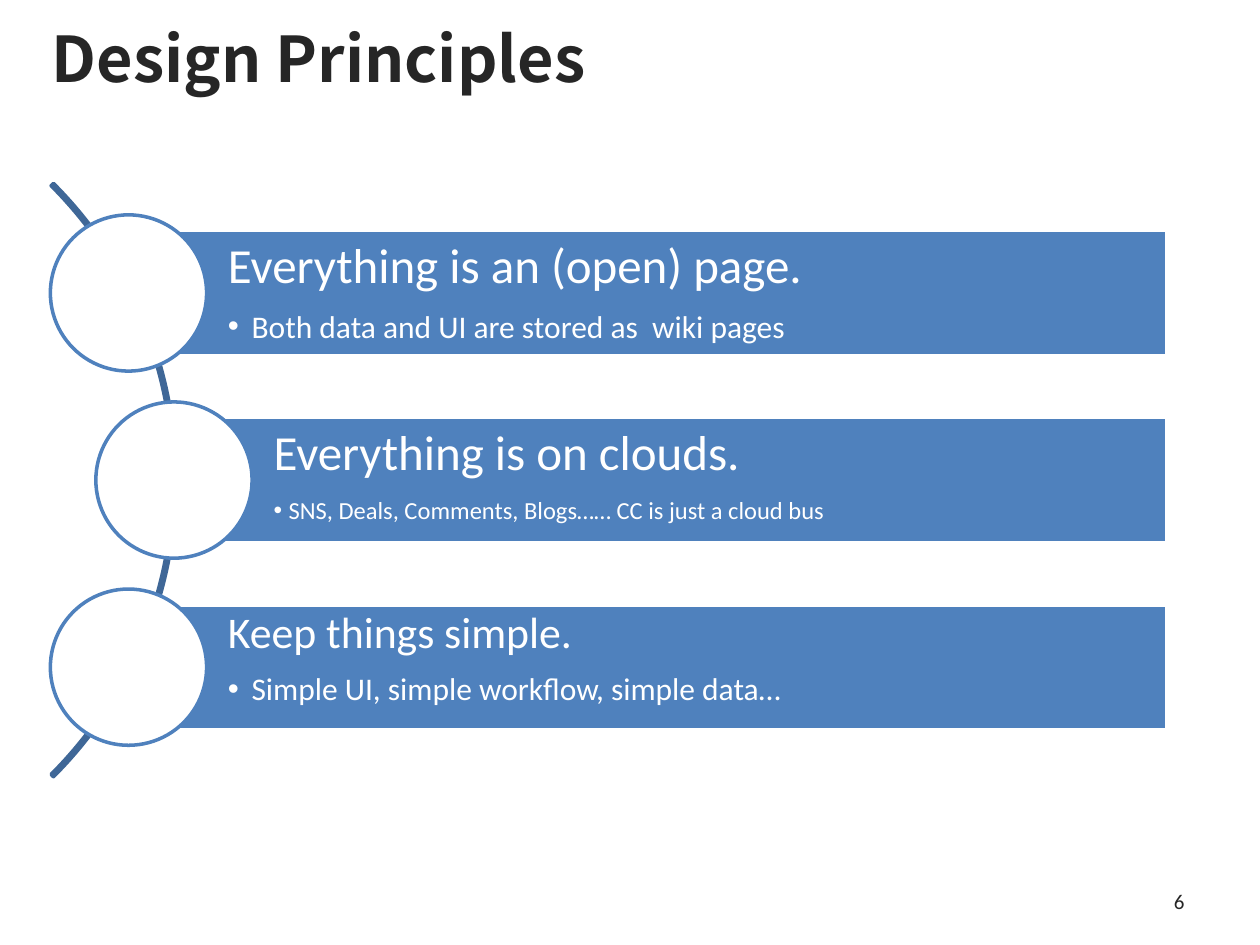
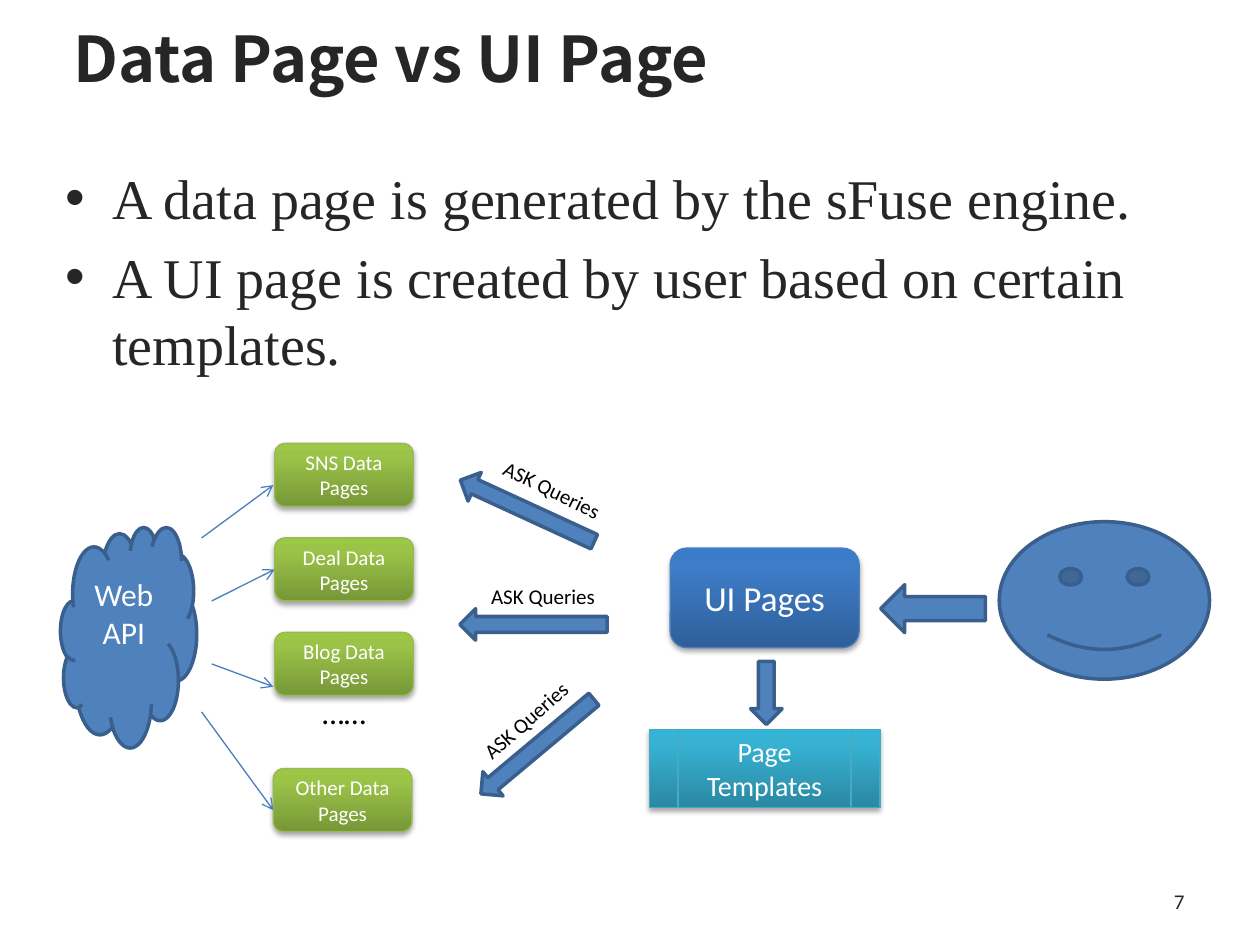
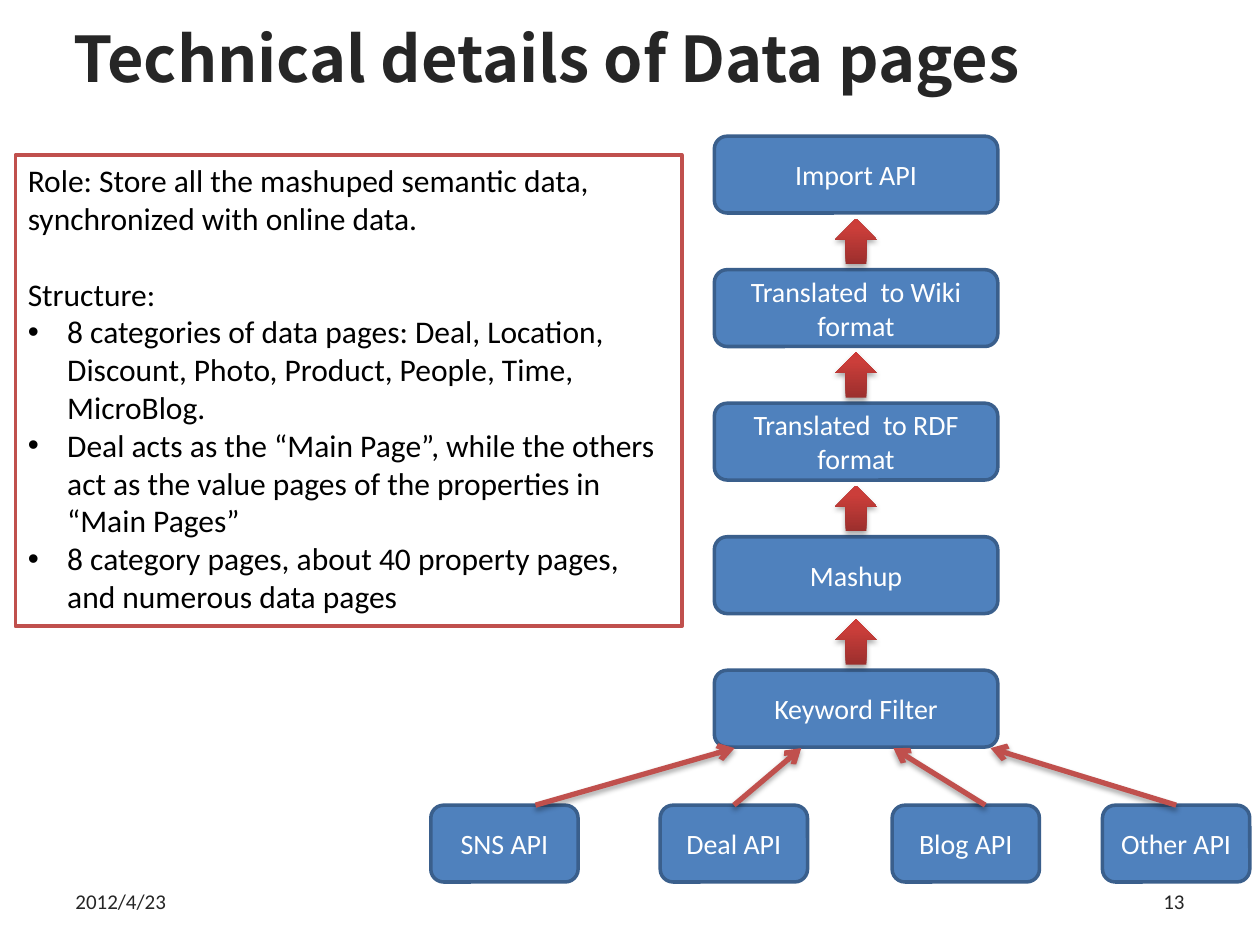
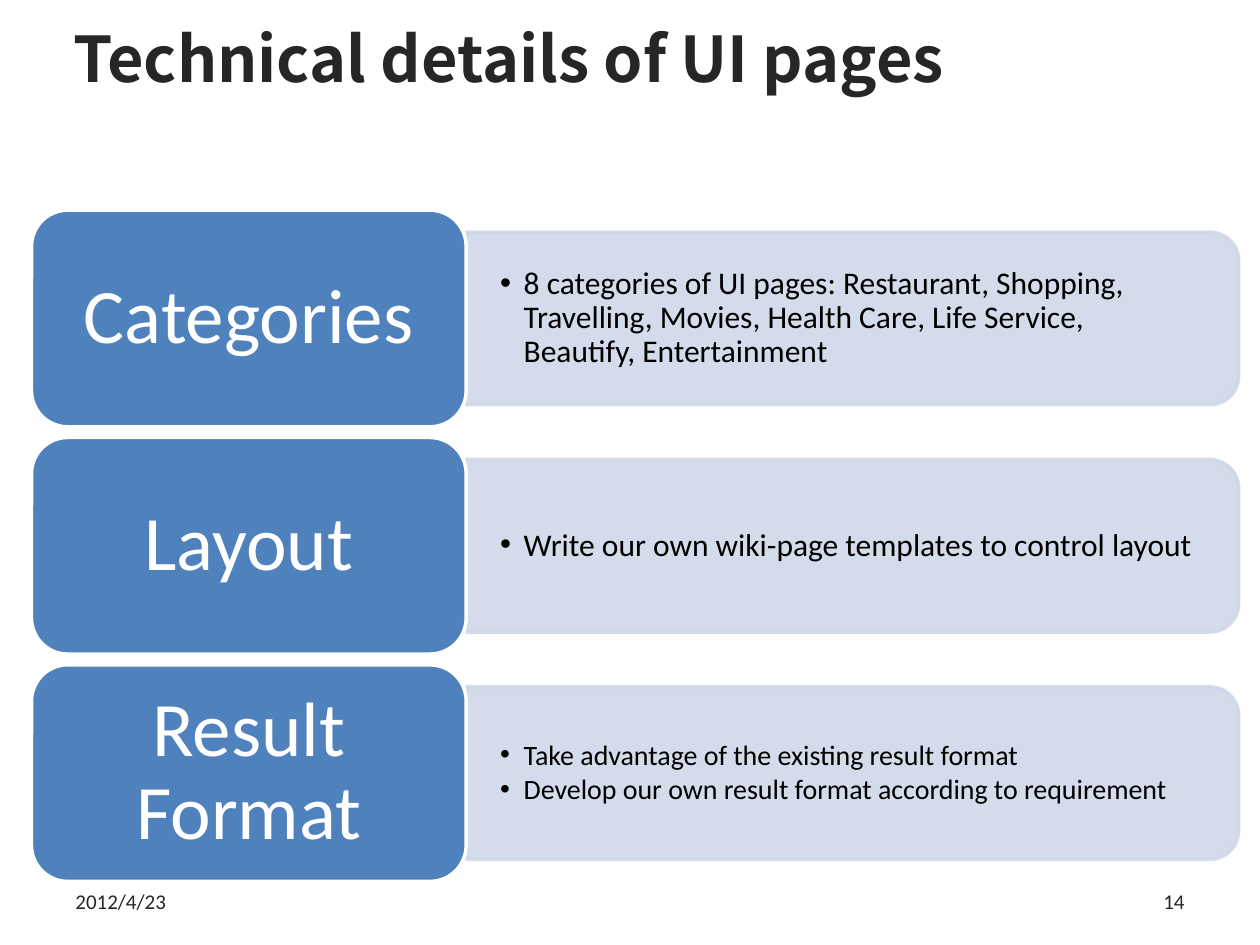
"""Build four slides on the design and the technical details of wiki data pages and UI pages."""
from copy import deepcopy
from dataclasses import dataclass
from typing import NamedTuple, Optional

from lxml import etree
from pptx import Presentation
from pptx import util as u
from pptx.dml.color import RGBColor
from pptx.enum import shapes, text
from pptx.oxml.ns import qn

Kind = shapes.MSO_SHAPE
Align = text.PP_ALIGN
Anchor = text.MSO_ANCHOR
Ramp = tuple[tuple[float, str], ...]


def ramp(dark: str, middle: str, light: str) -> Ramp:
    """Return the stops of a fill that darkens towards the bottom."""
    return ((0, dark), (0.8, middle), (1, light))


@dataclass(frozen=True)
class Theme:
    """Colours, fonts and type sizes shared by all pages."""
    ink: str = "262626"
    black: str = "000000"
    white: str = "FFFFFF"
    blue: str = "4F81BD"
    navy: str = "3A5F8C"
    arc: str = "3F6797"
    thin_blue: str = "4B7EBC"
    red: str = "C0504D"
    pale: str = "D0D8E8"
    green_ramp: Ramp = ramp("779737", "9BC348", "9DC746")
    blue_ramp: Ramp = ramp("2F5F99", "3D7CC7", "3A7CCB")
    teal_ramp: Ramp = ramp("2A88A2", "37B1D2", "34B4D6")
    red_ramp: Ramp = ramp("9C2F2D", "CB3E3A", "CE3B37")
    body_font: str = "Calibri"
    title_font: str = "Noto Sans CJK SC"
    serif_font: str = "Times New Roman"
    title: float = 36
    statement: float = 32
    banner: float = 28
    compact_banner: float = 25
    label: float = 44
    large: float = 20
    body: float = 18
    medium: float = 16
    small: float = 14
    tiny: float = 12


THEME = Theme()


class Frame(NamedTuple):
    """Place and size in points."""
    left: float
    top: float
    width: float
    height: float

    def lengths(self) -> list[u.Length]:
        """Return the four values as lengths."""
        return [u.Pt(value) for value in self]


@dataclass(frozen=True)
class Look:
    """Fill, outline and effects of a shape."""
    fill: str | Ramp | None = None
    line: Optional[str] = None
    weight: float = 2
    shadow: bool = False
    opacity: int = 100


@dataclass(frozen=True)
class Words:
    """One paragraph with its format."""
    text: str
    size: float = THEME.body
    color: str = THEME.white
    font: str = THEME.body_font
    bold: bool = False
    align: Align = Align.LEFT
    hang: float = 0
    before: float = 0
    after: float = 0
    leading: float = 1


@dataclass(frozen=True)
class Setting:
    """How paragraphs sit in their box."""
    anchor: Anchor = Anchor.MIDDLE
    insets: tuple[float, float, float, float] = (7.2, 3.6, 7.2, 3.6)
    wrap: bool = True


class Arrow(NamedTuple):
    """A straight arrow, joined to a box where a joint is given."""
    start: tuple[float, float]
    end: tuple[float, float]
    start_box: Optional[object] = None
    end_box: Optional[object] = None


SOLID = Look(THEME.blue, THEME.navy)
BANNER = Look(THEME.blue, THEME.white)
GREEN = Look(THEME.green_ramp, "98B955", 0.75, True)
ROYAL = Look(THEME.blue_ramp, THEME.thin_blue, 0.75, True)
TEAL = Look(THEME.teal_ramp, "46AAC5", 0.75, True)
RED = Look(THEME.red_ramp, shadow=True)
MIDDLE = Setting()
NODE = Setting(insets=(7.2, 0, 7.2, 0))
TOP = Setting(Anchor.TOP)
LOOSE = Setting(Anchor.TOP, wrap=False)


def cast_shadow(item) -> None:
    """Give a shape or connector a soft shadow below it."""
    effects = item.element.spPr.find(qn("a:effectLst"))
    shadow = etree.SubElement(effects, qn("a:outerShdw"), blurRad=str(u.Pt(3.1)),
                              dist=str(u.Pt(1.8)), dir="5400000", rotWithShape="0")
    color = etree.SubElement(shadow, qn("a:srgbClr"), val=THEME.black)
    etree.SubElement(color, qn("a:alpha"), val="35000")


def paint(box, look: Look) -> None:
    """Apply a look to a shape."""
    fill = box.fill
    if look.fill is None:
        fill.background()
    elif isinstance(look.fill, str):
        fill.solid()
        fill.fore_color.rgb = RGBColor.from_string(look.fill)
    else:
        fill.gradient()
        fill.gradient_angle = 90
        stops = box.element.spPr.find(".//" + qn("a:gsLst"))
        stops.append(deepcopy(stops[-1]))
        for stop, (position, color) in zip(fill.gradient_stops, look.fill):
            stop.position = position
            stop.color.rgb = RGBColor.from_string(color)
    if look.line:
        box.line.color.rgb = RGBColor.from_string(look.line)
        box.line.width = u.Pt(look.weight)
    else:
        box.line.fill.background()
    if look.opacity < 100:
        for color in box.element.spPr.iter(qn("a:srgbClr")):
            etree.SubElement(color, qn("a:alpha"), val=str(look.opacity * 1000))
    box.shadow.inherit = False
    if look.shadow:
        cast_shadow(box)


def write(box, words: list[Words], setting: Setting) -> None:
    """Fill a box with formatted paragraphs."""
    frame = box.text_frame
    frame.auto_size = text.MSO_AUTO_SIZE.NONE
    frame.word_wrap = setting.wrap
    frame.vertical_anchor = setting.anchor
    (frame.margin_left, frame.margin_top,
     frame.margin_right, frame.margin_bottom) = map(u.Pt, setting.insets)
    for index, item in enumerate(words):
        para = frame.add_paragraph() if index else frame.paragraphs[0]
        para.text = item.text
        para.alignment = item.align
        if item.hang:
            properties = para._p.get_or_add_pPr()
            properties.set("marL", str(u.Pt(item.hang)))
            properties.set("indent", str(-u.Pt(item.hang)))
            etree.SubElement(properties, qn("a:buFont"), typeface="Arial")
            etree.SubElement(properties, qn("a:buChar"), char="•")
        para.line_spacing = item.leading
        para.space_before = u.Pt(item.before)
        para.space_after = u.Pt(item.after)
        para.font.name = item.font
        para.font.size = u.Pt(item.size)
        para.font.bold = item.bold
        para.font.color.rgb = RGBColor.from_string(item.color)


def add_shape(page, kind: Kind, place: Frame, look: Look, words: list[Words] | None = None,
              setting: Setting = MIDDLE, turn: float = 0):
    """Draw a preset shape with optional text."""
    box = page.shapes.add_shape(kind, *place.lengths())
    box.rotation = turn
    paint(box, look)
    if words:
        write(box, words, setting)
    return box


def add_text(page, place: Frame, words: list[Words], setting: Setting = MIDDLE,
             turn: float = 0) -> None:
    """Place a text box."""
    box = page.shapes.add_textbox(*place.lengths())
    box.rotation = turn
    write(box, words, setting)


def add_node(page, kind: Kind, place: Frame, look: Look, label: str, size: float):
    """Draw a shape with a centred white label."""
    return add_shape(page, kind, place, look, [Words(label, size, align=Align.CENTER)], NODE)


def add_arrow(page, arrow: Arrow, color: str, weight: float, shadow: bool = False) -> None:
    """Draw a straight arrow, joined at box top on start and box left on end."""
    line = page.shapes.add_connector(shapes.MSO_CONNECTOR.STRAIGHT,
                                     *map(u.Pt, arrow.start + arrow.end))
    if arrow.start_box:
        line.begin_connect(arrow.start_box, 0)
    if arrow.end_box:
        line.end_connect(arrow.end_box, 1)
    line.line.color.rgb = RGBColor.from_string(color)
    line.line.width = u.Pt(weight)
    properties = line.element.spPr
    etree.SubElement(properties.find(qn("a:ln")), qn("a:tailEnd"), type="arrow")
    etree.SubElement(properties, qn("a:effectLst"))
    if shadow:
        cast_shadow(line)


def add_page(deck, title: str, number: int, date: str = "", left: float = 34.6):
    """Add a page with its title and footer."""
    page = deck.slides.add_slide(deck.slide_layouts.get_by_name("Title Only"))
    heading = page.shapes.title
    place = Frame(left, 5.8, 697 - left, 54)
    heading.left, heading.top, heading.width, heading.height = place.lengths()
    write(heading, [Words(title, THEME.title, THEME.ink, THEME.title_font, True)], MIDDLE)
    if date:
        add_text(page, Frame(36, 500.4, 168, 28.8), [Words(date, THEME.tiny, THEME.ink)])
    add_text(page, Frame(516, 500.4, 168, 28.8),
             [Words(str(number), THEME.tiny, THEME.ink, align=Align.RIGHT)])
    return page


def build_principles(deck) -> None:
    """Show three principles along an arc."""
    page = add_page(deck, "Design Principles", 6, left=22.3)
    arc = add_shape(page, Kind.BLOCK_ARC, Frame(-378.7, 34.6, 479.5, 479.5),
                    Look(line=THEME.arc))
    for index, value in enumerate((189, 27, 0.004)):
        arc.adjustments[index] = value
    principles = [
        (73.4, 5.8, "Everything is an (open) page.", THEME.banner,
         "Both data and UI are stored as  wiki pages", THEME.body, 13.5),
        (99.4, 5.8, "Everything is on clouds.", THEME.banner,
         "SNS, Deals, Comments, Blogs…… CC is just a cloud bus", THEME.small, 8.6),
        (73.4, 3.6, "Keep things simple.", THEME.compact_banner,
         "Simple UI, simple workflow, simple data…", THEME.body, 13.5),
    ]
    for row, (left, inset, claim, claim_size, detail, size, hang) in enumerate(principles):
        top = 131.8 + row * 106.9
        words = [Words(claim, claim_size, after=0.35 * claim_size, leading=0.9),
                 Words(detail, size, hang=hang, after=0.15 * size, leading=0.9)]
        add_shape(page, Kind.RECTANGLE, Frame(left, top, 666.7 - left, 71.3), BANNER, words,
                  Setting(Anchor.TOP, (56.9, inset, inset, inset)))
        add_shape(page, Kind.OVAL, Frame(left - 44.6, top - 9, 89.3, 89.3),
                  Look(THEME.white, THEME.blue))


def build_comparison(deck) -> None:
    """Show how data pages and UI pages work together."""
    page = add_page(deck, "Data Page vs UI Page", 7)
    statements = ["A data page is generated by the sFuse engine.",
                  "A UI page is created by user based on certain templates."]
    add_text(page, Frame(30.2, 90, 648, 138.2),
             [Words(line, THEME.statement, THEME.ink, THEME.serif_font, hang=27, before=6.4)
              for line in statements], TOP)

    data_pages = {
        name: add_node(page, Kind.ROUNDED_RECTANGLE, Frame(left, top, 79.2, 36), GREEN,
                       f"{name} Data Pages", THEME.tiny)
        for name, left, top in [("SNS", 157, 253.4), ("Deal", 157, 307.4),
                                ("Blog", 157, 361.4), ("Other", 156.2, 439.2)]
    }
    add_text(page, Frame(177.1, 392.4, 39.6, 28.8), [Words("……", color=THEME.black)], LOOSE)
    for arrow in [Arrow((115.2, 307.4), (156.2, 277.2)),
                  Arrow((121, 343.4), (157, 325.4), end_box=data_pages["Deal"]),
                  Arrow((121, 379.4), (156.2, 392.4)),
                  Arrow((115.2, 406.8), (156.2, 463))]:
        add_arrow(page, arrow, THEME.thin_blue, 0.75)

    add_node(page, Kind.ROUNDED_RECTANGLE, Frame(383, 313.2, 108, 56.9), ROYAL,
             "UI Pages", THEME.large)
    add_node(page, Kind.FLOWCHART_PREDEFINED_PROCESS, Frame(371, 416.9, 131.8, 44.6), TEAL,
             "Page Templates", THEME.medium)
    add_shape(page, Kind.SMILEY_FACE, Frame(571, 298.1, 120.2, 90), SOLID)
    add_shape(page, Kind.DOWN_ARROW, Frame(428.9, 378, 18, 36), SOLID)
    add_shape(page, Kind.LEFT_ARROW, Frame(503.3, 334.1, 59.8, 27.4), SOLID)

    queries = [((259.2, 283), 24.7, (278.6, 269.3), 25.7),
               ((262.8, 347.8), 0, (273.6, 329.8), 0),
               ((265, 417.6), 320.1, (263.5, 400.3), 318.3)]
    for arrow_at, arrow_turn, label_at, label_turn in queries:
        add_shape(page, Kind.LEFT_ARROW, Frame(*arrow_at, 84.2, 18), SOLID, turn=arrow_turn)
        add_text(page, Frame(*label_at, 74.9, 21.6),
                 [Words("ASK Queries", THEME.tiny, THEME.black)], LOOSE, label_turn)

    add_shape(page, Kind.CLOUD, Frame(34.6, 301, 77.8, 126), SOLID,
              [Words(word, align=Align.CENTER) for word in ("Web", "API")],
              Setting(insets=(7.2, 3.6, 7.2, 25.2)))


def build_data_details(deck, date: str) -> None:
    """Show the role of data pages and the import chain."""
    page = add_page(deck, "Technical details of Data pages", 13, date)
    points = ["8 categories of data pages: Deal, Location, Discount, Photo, Product, People, "
              "Time, MicroBlog.",
              "Deal acts as the “Main Page”, while the others act as the value pages of the "
              "properties in “Main Pages”",
              "8 category pages, about 40 property pages, and numerous data pages"]
    words = [Words("Role: Store all the mashuped semantic data, synchronized with online data.",
                   color=THEME.black),
             Words("Structure:", color=THEME.black, before=21.6)]
    words += [Words(point, color=THEME.black, hang=22.5) for point in points]
    add_shape(page, Kind.RECTANGLE, Frame(8.8, 88.6, 380.9, 269.3),
              Look(THEME.white, THEME.red), words, TOP)

    sources = {
        name: add_node(page, Kind.ROUNDED_RECTANGLE, Frame(left, 460.1, 84.2, 43.9), SOLID,
                       f"{name} API", THEME.medium)
        for name, left in [("SNS", 246.2), ("Deal", 377.3), ("Blog", 509.8), ("Other", 630)]
    }
    steps = ["Import API", "Translated  to Wiki format", "Translated  to RDF format",
             "Mashup", "Keyword Filter"]
    first_top, pitch = 77.8, 76.3
    step_width, step_height = 162, 43.9
    arrow_width, arrow_height = 23.8, 26
    step_left = 408.2
    arrow_left = step_left + (step_width - arrow_width) / 2
    arrow_gap = (pitch - step_height - arrow_height) / 2
    for row, label in enumerate(steps):
        top = first_top + row * pitch
        add_node(page, Kind.ROUNDED_RECTANGLE, Frame(step_left, top, step_width, step_height),
                 SOLID, label, THEME.medium)
        if row:
            add_shape(page, Kind.UP_ARROW,
                      Frame(arrow_left, top - arrow_gap - arrow_height,
                            arrow_width, arrow_height), RED)
    for arrow in [Arrow((306, 460.1), (419.8, 427.5)),
                  Arrow((563, 460.1), (510.5, 427.5)),
                  Arrow((419.4, 460.1), (457.9, 427.5), start_box=sources["Deal"]),
                  Arrow((672.1, 460.1), (566, 427.5), start_box=sources["Other"])]:
        add_arrow(page, arrow, THEME.red, 3, True)


def build_ui_details(deck, date: str) -> None:
    """Show three aspects of UI pages."""
    page = add_page(deck, "Technical details of UI pages", 14, date)
    aspects = [
        ("Categories", THEME.body,
         ["8 categories of UI pages: Restaurant, Shopping, Travelling, Movies, Health Care, "
          "Life Service, Beautify, Entertainment"]),
        ("Layout", THEME.body, ["Write our own wiki-page templates to control layout"]),
        ("Result Format", THEME.medium,
         ["Take advantage of the existing result format",
          "Develop our own result format according to requirement"]),
    ]
    length, depth = 441.4, 98.6
    for row, (label, size, details) in enumerate(aspects):
        center = 182 + row * 129.9
        add_shape(page, Kind.ROUND_2_SAME_RECTANGLE,
                  Frame(266.4 + (length - depth) / 2, center - length / 2, depth, length),
                  Look(THEME.pale, THEME.pale, opacity=90), turn=90)
        add_text(page, Frame(266.4, center - 44.6, 437, 89.3),
                 [Words(detail, size, THEME.black, hang=13.5, after=0.15 * size, leading=0.9)
                  for detail in details], Setting(insets=(19.4, 10.1, 19.4, 10.1)))
        add_shape(page, Kind.ROUNDED_RECTANGLE, Frame(18, center - 61.9, 248.4, 123.8), BANNER,
                  [Words(label, THEME.label, align=Align.CENTER, after=0.35 * THEME.label,
                         leading=0.9)], Setting(insets=(13, 6.5, 13, 6.5)))


def main() -> None:
    """Build the deck and save it."""
    deck = Presentation()
    deck.slide_width, deck.slide_height = u.Pt(720), u.Pt(540)
    date = "2012/4/23"
    build_principles(deck)
    build_comparison(deck)
    build_data_details(deck, date)
    build_ui_details(deck, date)
    deck.save("out.pptx")


if __name__ == "__main__":
    main()
